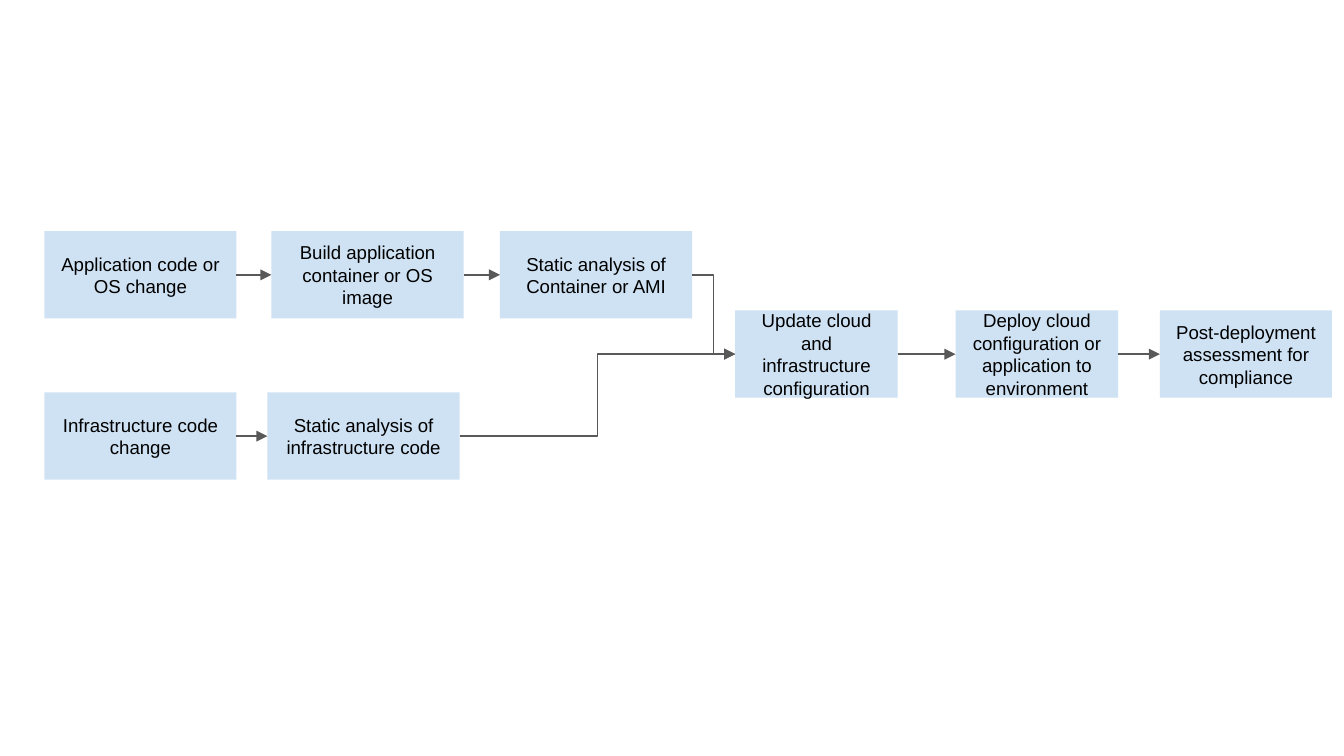
from dataclasses import dataclass

from lxml import etree
from pptx import Presentation
from pptx.dml.color import RGBColor
from pptx.enum.shapes import MSO_CONNECTOR, MSO_SHAPE
from pptx.enum.text import MSO_ANCHOR, PP_ALIGN
from pptx.oxml.ns import qn
from pptx.util import Inches, Pt

RECTANGLE = MSO_SHAPE.RECTANGLE
ELBOW = MSO_CONNECTOR.ELBOW
MIDDLE = MSO_ANCHOR.MIDDLE
CENTER = PP_ALIGN.CENTER

PALE_BLUE = RGBColor(0xCF, 0xE2, 0xF3)
BLACK = RGBColor(0x00, 0x00, 0x00)
GRAY = RGBColor(0x59, 0x59, 0x59)

SLIDE_WIDTH = Inches(10)
SLIDE_HEIGHT = SLIDE_WIDTH * 9 // 16  # widescreen, 16:9

STEP_HEIGHT = 0.65
INSET = 0.1
LEFT_SITE, RIGHT_SITE = 1, 3  # connection sites of a rectangle

# Rows of the flow: top edges
APPLICATION_ROW, DEPLOYMENT_ROW, INFRASTRUCTURE_ROW = 1.72, 2.31, 2.92


@dataclass(frozen=True)
class Step:
    text: str
    left: float
    top: float
    width: float = 1.43


STEPS = {
    "application": Step("Application code or OS change", 0.33, APPLICATION_ROW),
    "build": Step("Build application container or OS image", 2.02, APPLICATION_ROW),
    "container check": Step("Static analysis of Container or AMI", 3.72, APPLICATION_ROW),
    "infrastructure": Step("Infrastructure code change", 0.33, INFRASTRUCTURE_ROW),
    "code check": Step("Static analysis of infrastructure code", 1.99, INFRASTRUCTURE_ROW),
    "update": Step("Update cloud and infrastructure configuration",
                   5.47, DEPLOYMENT_ROW, 1.21),
    "deploy": Step("Deploy cloud configuration or application to environment",
                   7.11, DEPLOYMENT_ROW, 1.21),
    "assessment": Step("Post-deployment assessment for compliance",
                       8.63, DEPLOYMENT_ROW, 1.28),
}

# Each chain is joined from step to step
CHAINS = [
    ("application", "build", "container check", "update", "deploy", "assessment"),
    ("infrastructure", "code check", "update"),
]


def write_text(shape, text: str, *, size: float = 10, font: str = "Arial",
               color: RGBColor = BLACK, align=CENTER, anchor=MIDDLE) -> None:
    frame = shape.text_frame
    frame.word_wrap = True
    frame.vertical_anchor = anchor
    frame.margin_left = frame.margin_right = Inches(INSET)
    frame.margin_top = frame.margin_bottom = Inches(INSET)
    paragraph = frame.paragraphs[0]
    paragraph.alignment = align
    run = paragraph.add_run()
    run.text = text
    run.font.size = Pt(size)
    run.font.name = font
    run.font.color.rgb = color


def draw_step(slide, step: Step):
    shape = slide.shapes.add_shape(RECTANGLE, Inches(step.left), Inches(step.top),
                                   Inches(step.width), Inches(STEP_HEIGHT))
    shape.shadow.inherit = False
    shape.fill.solid()
    shape.fill.fore_color.rgb = PALE_BLUE
    shape.line.fill.background()
    write_text(shape, step.text)
    return shape


def draw_arrow(slide, source, target) -> None:
    connector = slide.shapes.add_connector(ELBOW, 0, 0, 0, 0)
    connector.begin_connect(source, RIGHT_SITE)
    connector.end_connect(target, LEFT_SITE)
    connector.line.color.rgb = GRAY
    connector.line.width = Pt(0.75)
    # Arrowhead, and an empty effect list against the shadow
    line = connector.line._get_or_add_ln()
    etree.SubElement(line, qn("a:tailEnd"), type="triangle")
    etree.SubElement(connector._element.spPr, qn("a:effectLst"))


def main() -> None:
    presentation = Presentation()
    presentation.slide_width = SLIDE_WIDTH
    presentation.slide_height = SLIDE_HEIGHT
    slide = presentation.slides.add_slide(presentation.slide_layouts[6])

    # Steps
    shapes = {name: draw_step(slide, step) for name, step in STEPS.items()}

    # Arrows
    for chain in CHAINS:
        for source, target in zip(chain, chain[1:]):
            draw_arrow(slide, shapes[source], shapes[target])

    presentation.save("out.pptx")


if __name__ == "__main__":
    main()
